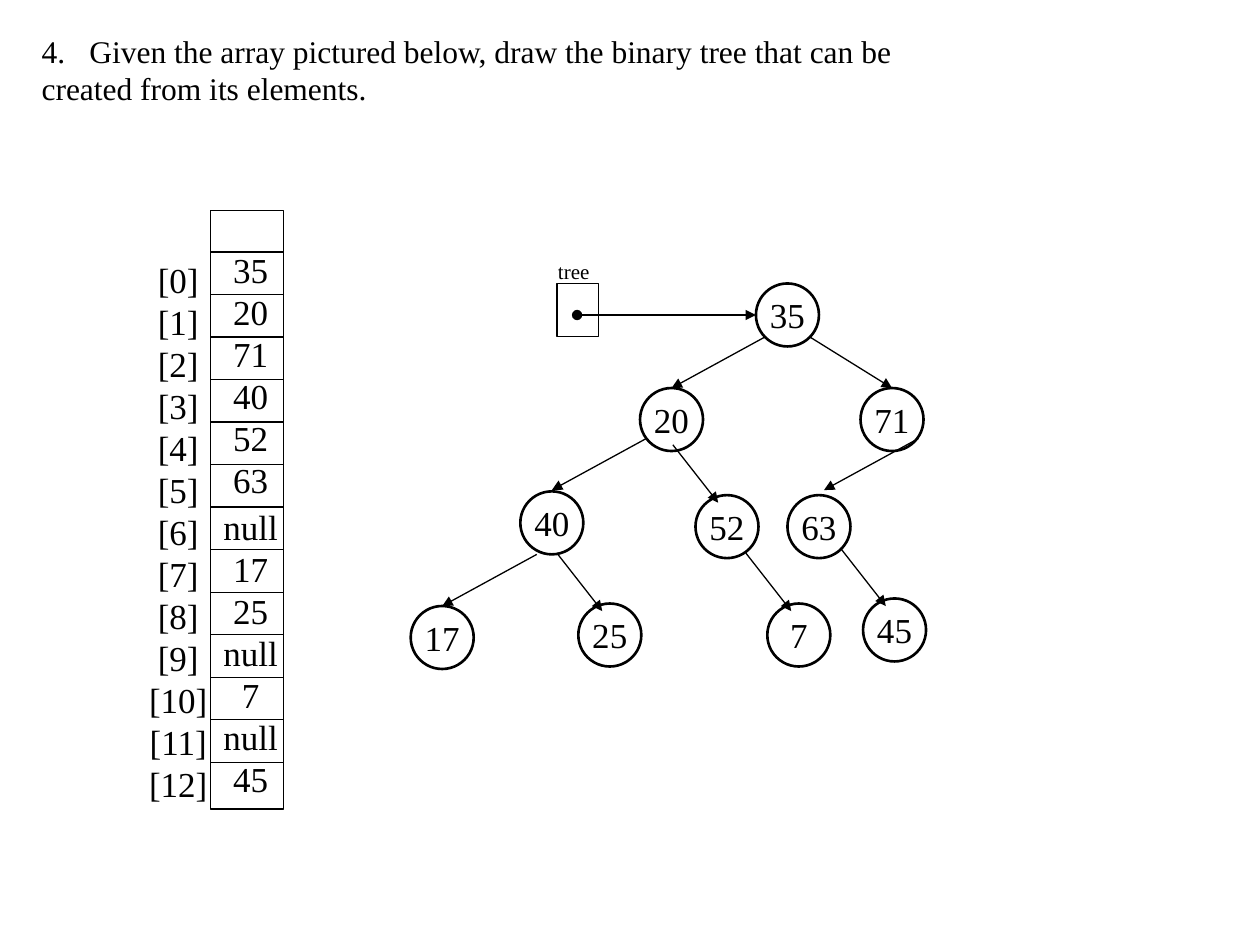
from lxml.etree import SubElement
from pptx import Presentation
from pptx.dml.color import RGBColor
from pptx.enum.shapes import MSO_CONNECTOR as CONNECTOR, MSO_SHAPE as SHAPE
from pptx.enum.text import MSO_ANCHOR as ANCHOR, PP_ALIGN as ALIGN
from pptx.oxml.ns import qn
from pptx.util import Inches, Pt

INK = "000000"


def write(box, lines, size=20, align=ALIGN.CENTER, anchor=ANCHOR.TOP, wrap=False,
          color=INK, font="Times New Roman"):
    frame = box.text_frame
    frame.word_wrap = wrap
    frame.vertical_anchor = anchor
    for index, line in enumerate(lines):
        paragraph = frame.paragraphs[0] if index == 0 else frame.add_paragraph()
        paragraph.alignment = align
        run = paragraph.add_run()
        run.text = line
        run.font.size = Pt(size)
        run.font.name = font
        run.font.color.rgb = RGBColor.from_string(color)
    return frame


def outline(place, preset=None, ends=(), weight=0.75, color=INK):
    """Draw a hollow preset shape, or a straight line when no preset is given."""
    lengths = [Inches(value) for value in place]
    if preset is None:
        item = slide.shapes.add_connector(CONNECTOR.STRAIGHT, *lengths)
        SubElement(item._element.spPr, qn("a:effectLst"))
    else:
        item = slide.shapes.add_shape(preset, *lengths)
        item.shadow.inherit = False
        item.fill.background()
    item.line.width = Pt(weight)
    item.line.color.rgb = RGBColor.from_string(color)
    for tag, style in ends:
        SubElement(item._element.spPr.find(qn("a:ln")), qn(tag), type=style)
    return item


deck = Presentation()
deck.slide_width, deck.slide_height = Inches(10), Inches(7.5)
slide = deck.slides.add_slide(deck.slide_layouts[5])

# Question
question = slide.shapes.title
question.left, question.top = Inches(0.23), Inches(0.2)
question.width, question.height = Inches(7.02), Inches(0.71)
frame = write(question, ["Given the array pictured below, draw the binary tree that can be",
                         "created from its elements."],
              size=18, align=ALIGN.LEFT, wrap=True)
numbering = frame.paragraphs[0]._p.get_or_add_pPr()
numbering.set("marL", str(Inches(0.38)))
numbering.set("indent", str(-Inches(0.38)))
SubElement(numbering, qn("a:buFont"), typeface="Times New Roman")
SubElement(numbering, qn("a:buAutoNum"), type="arabicPeriod", startAt="4")

# Array: frame, row rules, indices and values
values = ["35", "20", "71", "40", "52", "63", "null", "17", "25", "null", "7", "null", "45"]
array_left, array_right, first_rule, last_rule = 1.67, 2.25, 2, 6.05
row = (last_rule - first_rule) / (len(values) - 1)
outline((array_left, 1.67, array_right - array_left, 4.75), SHAPE.RECTANGLE)
for index in range(len(values)):
    rule = first_rule + index * row
    outline((array_left, rule, array_right, rule))

indices = [f"[{index}]" for index in range(len(values))]
for left, top, width, lines in [(1.08, 2, 0.67, indices), (1.67, 1.92, 0.64, values)]:
    column = slide.shapes.add_textbox(Inches(left), Inches(top), Inches(width), Inches(4.48))
    frame = write(column, lines)
frame.paragraphs[values.index("null")].space_before = Pt(3)

# Tree pointer
label = slide.shapes.add_textbox(Inches(4.33), Inches(2), Inches(0.45), Inches(0.3))
write(label, ["tree"], size=12, align=ALIGN.LEFT)
outline((4.42, 2.25, 0.33, 0.42), SHAPE.RECTANGLE)
arrow = [("a:tailEnd", "triangle")]
outline((4.58, 2.5, 6, 2.5), ends=[("a:headEnd", "oval")] + arrow)

# Tree nodes
nodes = [("35", 6, 2.25), ("20", 5.08, 3.08), ("71", 6.83, 3.08),
         ("40", 4.13, 3.9), ("52", 5.52, 3.93), ("63", 6.25, 3.93),
         ("17", 3.26, 4.81), ("25", 4.59, 4.79), ("7", 6.09, 4.79), ("45", 6.85, 4.75)]
for value, left, top in nodes:
    node = outline((left, top, 0.5, 0.5), SHAPE.OVAL, weight=1.5)
    write(node, [value], anchor=ANCHOR.MIDDLE)

# Branches: shared run and drop, then the starting points
branches = [(-0.75, 0.41, [(6.08, 2.67), (5.13, 3.48), (7.29, 3.48), (4.26, 4.4)]),
            (0.66, 0.41, [(6.42, 2.67)]),
            (0.36, 0.46, [(5.34, 3.53), (4.42, 4.39), (5.92, 4.39), (6.67, 4.35)])]
for run, drop, starts in branches:
    for x, y in starts:
        outline((x, y, x + run, y + drop), ends=arrow)

deck.save("out.pptx")
